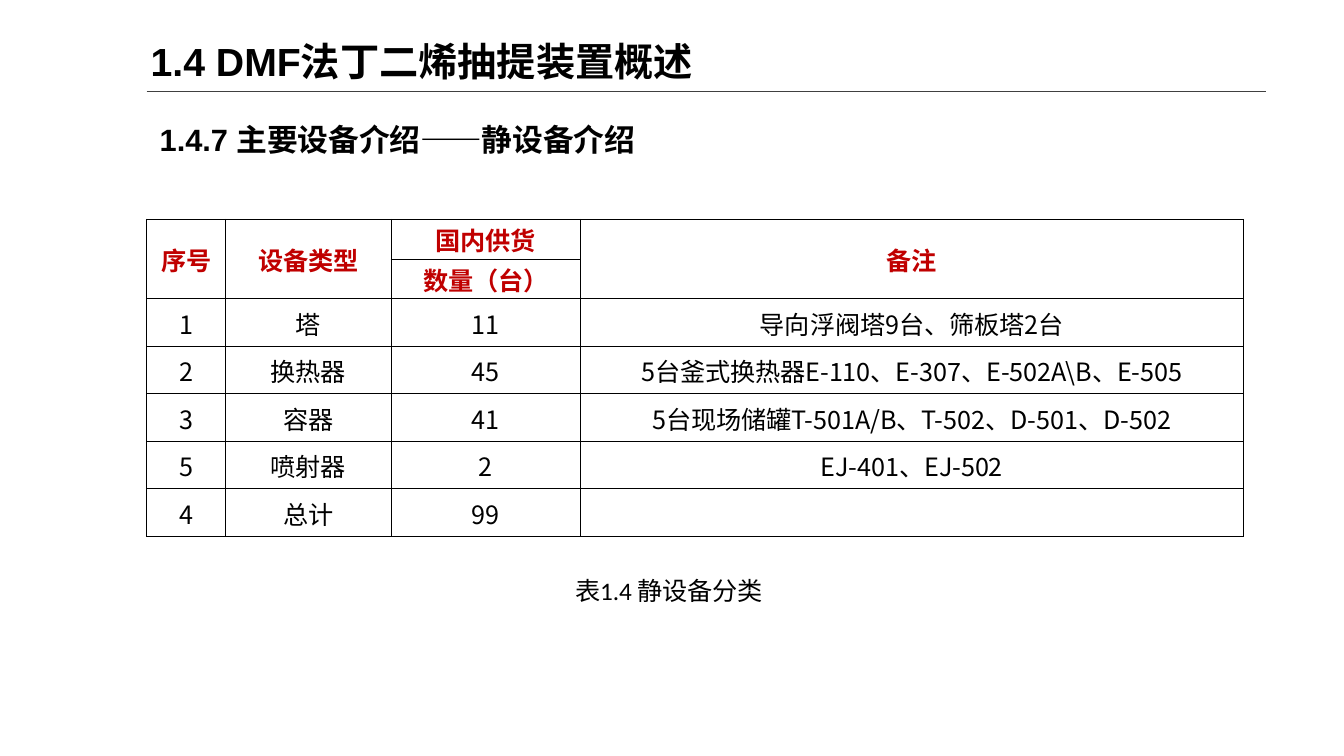
from dataclasses import dataclass

from lxml import etree
from pptx import Presentation
from pptx.dml.color import RGBColor
from pptx.enum.shapes import MSO_CONNECTOR
from pptx.enum.text import MSO_ANCHOR, MSO_AUTO_SIZE, PP_ALIGN
from pptx.oxml.ns import qn
from pptx.util import Pt

STRAIGHT = MSO_CONNECTOR.STRAIGHT
MIDDLE, TOP = MSO_ANCHOR.MIDDLE, MSO_ANCHOR.TOP
GROW = MSO_AUTO_SIZE.SHAPE_TO_FIT_TEXT
LEFT, CENTER = PP_ALIGN.LEFT, PP_ALIGN.CENTER


@dataclass(frozen=True)
class Theme:
    """Colours, fonts and type sizes of the slide."""
    ink: str = "000000"
    accent: str = "C00000"
    rule: str = "404040"
    heading_font: str = "Arial"
    caption_font: str = "Calibri"
    table_font: str = "Noto Sans CJK SC"
    title: float = 21
    subtitle: float = 16.5
    body: float = 13.5
    hairline: float = 0.5


THEME = Theme()
MARGIN = 78.5
COLUMNS = [42.5, 88.5, 101.5, 355]
HEADER_HEIGHT, ROW_HEIGHT = 21.25, 25.5
HEADER_ROWS = 2
ROWS = [
    ["序号", "设备类型", "国内供货", "备注"],
    ["", "", "数量（台）", ""],
    ["1", "塔", "11", "导向浮阀塔9台、筛板塔2台"],
    ["2", "换热器", "45", "5台釜式换热器E-110、E-307、E-502A\\B、E-505"],
    ["3", "容器", "41", "5台现场储罐T-501A/B、T-502、D-501、D-502"],
    ["5", "喷射器", "2", "EJ-401、EJ-502"],
    ["4", "总计", "99", ""],
]


def style(p, font, size, color=THEME.ink, bold=False, align=LEFT):
    """Format a paragraph, with the same Chinese font throughout."""
    p.alignment = align
    p.font.name, p.font.size, p.font.bold = font, Pt(size), bold
    p.font.color.rgb = RGBColor.from_string(color)
    props = p._p.pPr.find(qn("a:defRPr"))
    latin = props.find(qn("a:latin"))
    latin.addnext(latin.makeelement(qn("a:ea"), {"typeface": THEME.table_font}))


def fill_text(sp, box, text, font, size, bold=False, wrap=True):
    """Place a text shape and write one paragraph in it."""
    sp.left, sp.top, sp.width, sp.height = (Pt(v) for v in box)
    tf = sp.text_frame
    tf.word_wrap, tf.auto_size, tf.vertical_anchor = wrap, GROW, TOP
    p = tf.paragraphs[0]
    p.text = text
    style(p, font, size, bold=bold)
    return p


def add_text(s, box, *args, **kwargs):
    """Add a text box with one paragraph."""
    sp = s.shapes.add_textbox(0, 0, 0, 0)
    return fill_text(sp, box, *args, **kwargs)


def add_rule(s, x1, x2, y):
    """Add the thin line under the title."""
    line = s.shapes.add_connector(STRAIGHT, Pt(x1), Pt(y), Pt(x2), Pt(y))
    line.line.color.rgb = RGBColor.from_string(THEME.rule)
    line.line.width = Pt(THEME.hairline)
    etree.SubElement(line._element.spPr, qn("a:effectLst"))


def set_borders(cell):
    """Draw a hairline on all four sides of a cell."""
    tcPr = cell._tc.get_or_add_tcPr()
    for i, side in enumerate("LRTB"):
        ln = tcPr.makeelement(qn(f"a:ln{side}"), {"w": str(Pt(THEME.hairline))})
        fill = etree.SubElement(ln, qn("a:solidFill"))
        etree.SubElement(fill, qn("a:srgbClr"), val=THEME.ink)
        tcPr.insert(i, ln)


def format_cell(cell, text, header):
    """Write and format one table cell."""
    cell.margin_left = cell.margin_right = cell.margin_top = Pt(0.75)
    cell.margin_bottom = 0
    cell.vertical_anchor = MIDDLE
    cell.fill.background()
    set_borders(cell)
    p = cell.text_frame.paragraphs[0]
    if text:
        p.text = text
    color = THEME.accent if header else THEME.ink
    style(p, THEME.table_font, THEME.body, color, header, CENTER)


def add_equipment_table(s, x, y):
    """Add the equipment table with its two-row header."""
    heights = [HEADER_HEIGHT if i < HEADER_ROWS else ROW_HEIGHT for i in range(len(ROWS))]
    table = s.shapes.add_table(len(ROWS), len(COLUMNS), Pt(x), Pt(y),
                               Pt(sum(COLUMNS)), Pt(sum(heights))).table
    table.first_row = table.horz_banding = False
    for column, width in zip(table.columns, COLUMNS):
        column.width = Pt(width)
    for i, (row, height) in enumerate(zip(table.rows, heights)):
        row.height = Pt(height)
        for cell, text in zip(row.cells, ROWS[i]):
            format_cell(cell, text, i < HEADER_ROWS)
    for j in (0, 1, 3):
        table.cell(0, j).merge(table.cell(1, j))


def main():
    """Build the slide and save it."""
    prs = Presentation()
    prs.slide_width, prs.slide_height = Pt(720), Pt(405)
    s = prs.slides.add_slide(prs.slide_layouts[5])
    add_rule(s, MARGIN, 678, 49)
    fill_text(s.shapes.title, (73.5, 16.5, 312.5, 32.5), "1.4 DMF法丁二烯抽提装置概述",
              THEME.heading_font, THEME.title, bold=True, wrap=False)
    p = add_text(s, (MARGIN, 51, 314, 37.5), "1.4.7 主要设备介绍——静设备介绍",
                 THEME.heading_font, THEME.subtitle, bold=True)
    p.line_spacing = 1.5
    add_equipment_table(s, MARGIN, 117.5)
    add_text(s, (301, 304.5, 118, 39.5), "表1.4 静设备分类",
             THEME.caption_font, THEME.body)
    prs.save("out.pptx")


if __name__ == "__main__":
    main()
